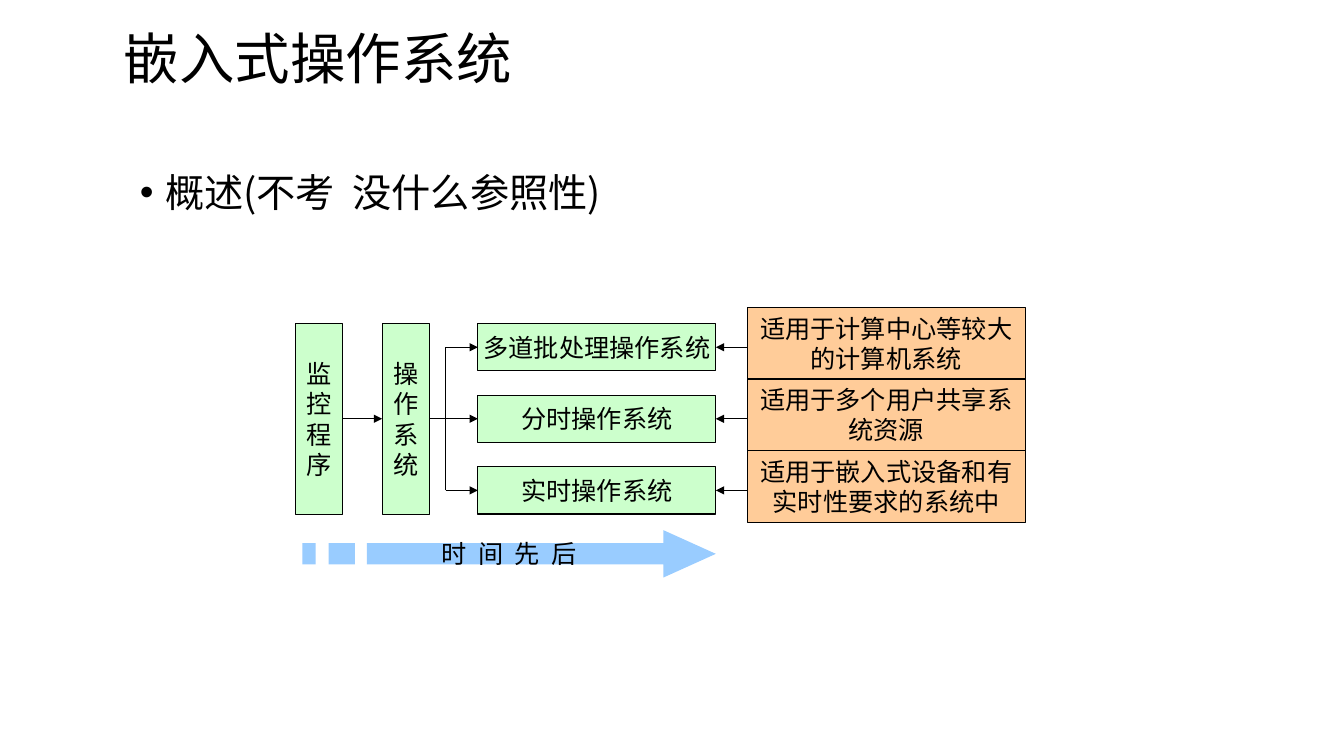
from collections import namedtuple

from lxml.etree import SubElement
from pptx import Presentation
from pptx.dml.color import RGBColor
from pptx.enum.shapes import MSO_CONNECTOR, MSO_SHAPE
from pptx.enum.text import MSO_ANCHOR, PP_ALIGN
from pptx.oxml.ns import qn
from pptx.util import Inches, Pt

BLACK = RGBColor(0x00, 0x00, 0x00)
GREEN = RGBColor(0xCC, 0xFF, 0xCC)
ORANGE = RGBColor(0xFF, 0xCC, 0x99)
BLUE = RGBColor(0x99, 0xCC, 0xFF)
HEADING_FONT = "Noto Sans CJK SC"
DIAGRAM_FONT = "Times New Roman"
RIGHT, LEFT = 3, 1
SIDE = 0.47
SYSTEM_PITCH = 0.71

Box = namedtuple("Box", "left top width height")


def style_text(frame, text, size, font, align):
    """Fill a text frame and format every paragraph alike."""
    frame.text = text
    for para in frame.paragraphs:
        para.alignment = align
        para.font.size = Pt(size)
        para.font.name = font
        para.font.color.rgb = BLACK


def add_heading(page, box, text, size):
    """Add a left-aligned text box and return it."""
    heading = page.shapes.add_textbox(*map(Inches, box))
    heading.text_frame.word_wrap = True
    style_text(heading.text_frame, text, size, HEADING_FONT, PP_ALIGN.LEFT)
    heading.text_frame.paragraphs[0].line_spacing = 0.9
    return heading


def add_title(page, box):
    """Add the slide title."""
    frame = add_heading(page, box, "嵌入式操作系统", 39.6).text_frame
    frame.margin_left = Inches(0.22)
    frame.vertical_anchor = MSO_ANCHOR.MIDDLE


def add_overview(page, box):
    """Add the bulleted overview line."""
    heading = add_heading(page, box, "概述(不考  没什么参照性)", 28)
    para = heading.text_frame.paragraphs[0]
    para.space_before = Pt(10)
    properties = para._p.get_or_add_pPr()
    properties.set("marL", str(Inches(0.25)))
    properties.set("indent", str(Inches(-0.25)))
    SubElement(properties, qn("a:buFont"), typeface="Arial")
    SubElement(properties, qn("a:buChar"), char="•")


def add_block(page, box, text, color, wrap=False):
    """Add an outlined rectangle with centred text."""
    block = page.shapes.add_shape(MSO_SHAPE.RECTANGLE, *map(Inches, box))
    block.shadow.inherit = False
    block.fill.solid()
    block.fill.fore_color.rgb = color
    block.line.color.rgb = BLACK
    block.line.width = Pt(0.75)
    frame = block.text_frame
    frame.word_wrap = wrap
    frame.vertical_anchor = MSO_ANCHOR.MIDDLE
    style_text(frame, text, 18, DIAGRAM_FONT, PP_ALIGN.CENTER)
    return block


def add_line(page, start, end, arrow=True):
    """Add a thin straight line, with an arrowhead at its end if wanted."""
    line = page.shapes.add_connector(
        MSO_CONNECTOR.STRAIGHT, *map(Inches, (*start, *end)))
    line.line.color.rgb = BLACK
    line.line.width = Pt(0.75)
    if arrow:
        SubElement(line.line._get_or_add_ln(), qn("a:tailEnd"), type="triangle")
    SubElement(line._element.spPr, qn("a:effectLst"))
    return line


def add_evolution(page, box):
    """Add the chain from monitor to the systems and return the systems."""
    middle = box.top + box.height / 2
    stage_left = box.left + 0.86
    stage_right = stage_left + SIDE
    systems_left = box.left + 1.81
    trunk = box.left + 1.49
    monitor = add_block(
        page, Box(box.left, box.top, SIDE, box.height), "监\n控\n程\n序", GREEN)
    stage = add_block(
        page, Box(stage_left, box.top, SIDE, box.height), "操\n作\n系\n统", GREEN)
    link = add_line(page, (box.left + SIDE, middle), (stage_left, middle))
    link.begin_connect(monitor, RIGHT)
    link.end_connect(stage, LEFT)

    systems = []
    for row, name in enumerate(("多道批处理操作系统", "分时操作系统", "实时操作系统")):
        top = box.top + row * SYSTEM_PITCH
        center = top + SIDE / 2
        width = box.left + box.width - systems_left
        system = add_block(page, Box(systems_left, top, width, SIDE), name, GREEN)
        from_stage = row == 1
        start = stage_right if from_stage else trunk
        branch = add_line(page, (start, center), (systems_left, center))
        if from_stage:
            branch.begin_connect(stage, RIGHT)
        branch.end_connect(system, LEFT)
        systems.append(system)
    add_line(page, (trunk, middle + SYSTEM_PITCH), (trunk, middle - SYSTEM_PITCH),
             arrow=False)
    return systems


def add_uses(page, box, systems):
    """Add the stacked uses, each pointing to its system."""
    uses = ("适用于计算中心等较大的计算机系统",
            "适用于多个用户共享系统资源",
            "适用于嵌入式设备和有实时性要求的系统中")
    height = box.height / len(uses)
    for row, (use, system) in enumerate(zip(uses, systems)):
        add_block(page, Box(box.left, box.top + row * height, box.width, height),
                  use, ORANGE, wrap=True)
        center = (system.top + system.height / 2) / Inches(1)
        pointer = add_line(page, (box.left, center), (box.left - 0.31, center))
        pointer.end_connect(system, RIGHT)


def add_time_arrow(page, box):
    """Add the striped arrow of time."""
    upper, lower = box.top + 0.13, box.top + 0.34
    right, bottom = box.left + box.width, box.top + box.height
    neck, body = right - 0.52, box.left + 0.64
    head = [(neck, box.top), (neck, upper), (body, upper), (body, lower),
            (neck, lower), (neck, bottom), (right, box.top + box.height / 2)]
    stripes = [
        [(start, upper), (start, lower), (end, lower), (end, upper)]
        for start, end in ((box.left + 0.26, box.left + 0.52),
                           (box.left, box.left + 0.13))]
    outlines = [[(Inches(x), Inches(y)) for x, y in outline]
                for outline in (head, *stripes)]
    builder = page.shapes.build_freeform(*outlines[0][0])
    builder.add_line_segments(outlines[0][1:])
    for outline in outlines[1:]:
        builder.move_to(*outline[0])
        builder.add_line_segments(outline[1:])
    arrow = builder.convert_to_shape()
    arrow.shadow.inherit = False
    arrow.fill.solid()
    arrow.fill.fore_color.rgb = BLUE
    arrow.line.fill.background()
    frame = arrow.text_frame
    frame.word_wrap = False
    frame.vertical_anchor = MSO_ANCHOR.MIDDLE
    style_text(frame, "时 间 先 后", 18, DIAGRAM_FONT, PP_ALIGN.CENTER)
    span = frame.paragraphs[0].runs[0]
    span._r.get_or_add_rPr().set("spc", "200")


def main():
    """Build and save the slide."""
    deck = Presentation()
    deck.slide_width, deck.slide_height = Inches(13.33), Inches(7.5)
    page = deck.slides.add_slide(deck.slide_layouts[6])
    add_title(page, Box(1.01, 0.15, 4.34, 0.93))
    add_overview(page, Box(1.29, 1.67, 9, 0.73))
    systems = add_evolution(page, Box(2.93, 3.21, 4.17, 1.89))
    add_time_arrow(page, Box(3, 5.26, 4.1, 0.47))
    add_uses(page, Box(7.41, 3.05, 2.76, 2.13), systems)
    deck.save("out.pptx")


if __name__ == "__main__":
    main()
